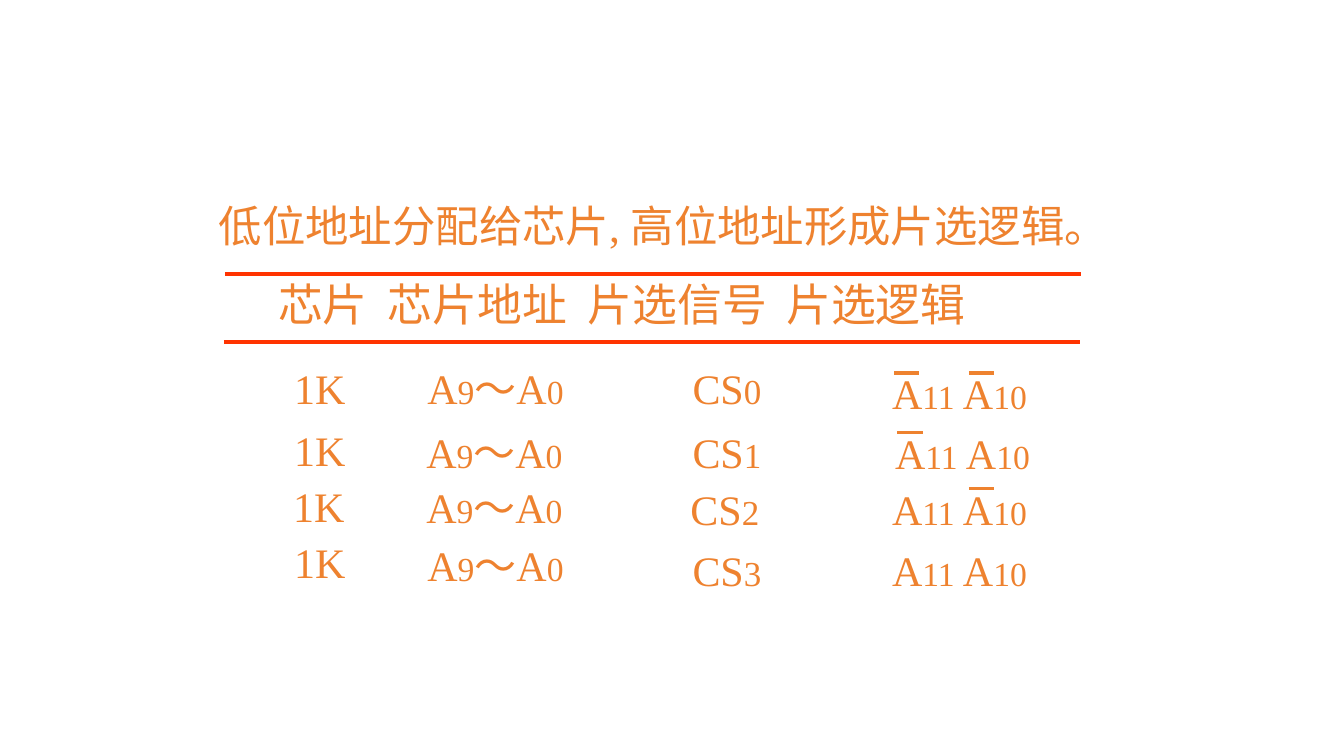
from pptx import Presentation
from pptx.dml.color import RGBColor
from pptx.enum.shapes import MSO_CONNECTOR as Link
from pptx.enum.text import MSO_ANCHOR as Anchor, MSO_AUTO_SIZE as Fit, PP_ALIGN as Align
from pptx.oxml.ns import qn
from pptx.util import Inches, Pt
from lxml.etree import SubElement as Sub

ORANGE = RGBColor(0xEE, 0x82, 0x2F)
RED = RGBColor(0xFF, 0x33, 0x00)
HAN = "Noto Sans CJK SC"
ROMAN = "Times New Roman"


class Board:
    def __init__(self, deck):
        self.slide = deck.slides.add_slide(deck.slide_layouts[5])
        self.shapes = self.slide.shapes

    def fill(self, box, runs, wrap=True):
        frame = box.text_frame
        frame.word_wrap = wrap
        frame.auto_size = Fit.NONE
        frame.vertical_anchor = Anchor.TOP
        para = frame.paragraphs[0]
        para.alignment = Align.LEFT
        para.space_before = Pt(0)
        for text, size, face in runs:
            run = para.add_run()
            run.text = text
            run.font.size = Pt(size)
            run.font.name = face
            run.font.color.rgb = ORANGE
            Sub(run.font._element, qn("a:ea")).set("typeface", HAN)
        return para

    def title(self, x, y, w, h, runs):
        box = self.shapes.title
        box.left, box.top = Inches(x), Inches(y)
        box.width, box.height = Inches(w), Inches(h)
        self.fill(box, runs)

    def text(self, x, y, w, h, runs):
        box = self.shapes.add_textbox(Inches(x), Inches(y), Inches(w), Inches(h))
        return self.fill(box, runs)

    def heads(self, x, y, w, h, names, stops):
        para = self.text(x, y, w, h, [("\t".join(names), 32, HAN)])
        tabs = Sub(para._p.get_or_add_pPr(), qn("a:tabLst"))
        for stop in stops:
            tab = Sub(tabs, qn("a:tab"))
            tab.set("pos", str(Inches(stop)))
            tab.set("algn", "l")

    def line(self, x, y, w, color, width):
        rule = self.shapes.add_connector(
            Link.STRAIGHT, Inches(x), Inches(y), Inches(x + w), Inches(y))
        rule.line.color.rgb = color
        rule.line.width = Pt(width)
        Sub(rule._element.spPr, qn("a:effectLst"))

    def row(self, chip, tops, lefts, bars):
        cells = [
            [("1K", 30)],
            [("A", 30), ("9", 24), ("～A", 30), ("0", 24)],
            [("CS", 30), (str(chip), 25)],
            [("A", 30), ("11", 24), (" A", 30), ("10", 24)],
        ]
        for x, y, w, cell in zip(lefts, tops, (1.17, 1.93, 1.21, 1.9), cells):
            self.text(x, y, w, 0.6, [(text, size, ROMAN) for text, size in cell])
        for shift in bars:
            self.line(lefts[3] + shift, tops[3] + 0.1, 0.25, ORANGE, 2.25)


def main():
    deck = Presentation()
    deck.slide_width, deck.slide_height = Inches(13.33), Inches(7.5)
    board = Board(deck)
    board.title(2.07, 1.93, 9.32, 0.62, [
        ("低位地址分配给芯片", 31, HAN),
        (", ", 31, ROMAN),
        ("高位地址形成片选逻辑。", 31, HAN),
    ])
    board.heads(2.66, 2.7, 8.47, 0.64,
                ["芯片", "芯片地址", "片选信号", "片选逻辑"], [1.09, 3.07, 5.04])
    for x, y in ((2.23, 2.72), (2.22, 3.39)):
        board.line(x, y, 8.49, RED, 3)

    high, low = 0.12, 0.86
    rows = [
        ((3.55, 3.55, 3.55, 3.6), (2.82, 4.14, 6.77, 8.75), (high, low)),
        ((4.16, 4.18, 4.18, 4.19), (2.82, 4.13, 6.77, 8.78), (high,)),
        ((4.72, 4.73, 4.75, 4.75), (2.81, 4.13, 6.75, 8.75), (low,)),
        ((5.27, 5.3, 5.35, 5.35), (2.82, 4.14, 6.77, 8.75), ()),
    ]
    for chip, (tops, lefts, bars) in enumerate(rows):
        board.row(chip, tops, lefts, bars)
    deck.save("out.pptx")


if __name__ == "__main__":
    main()
